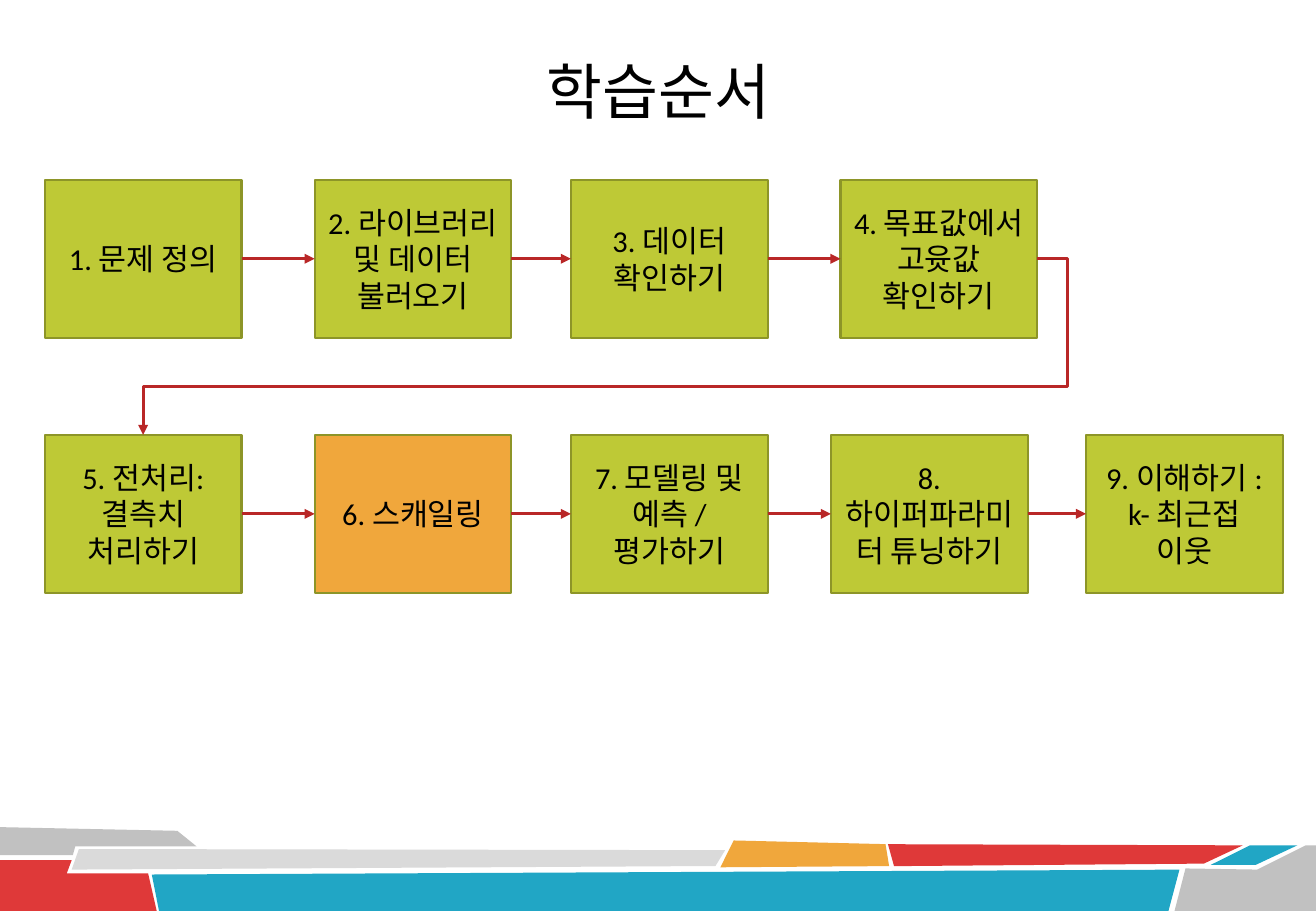
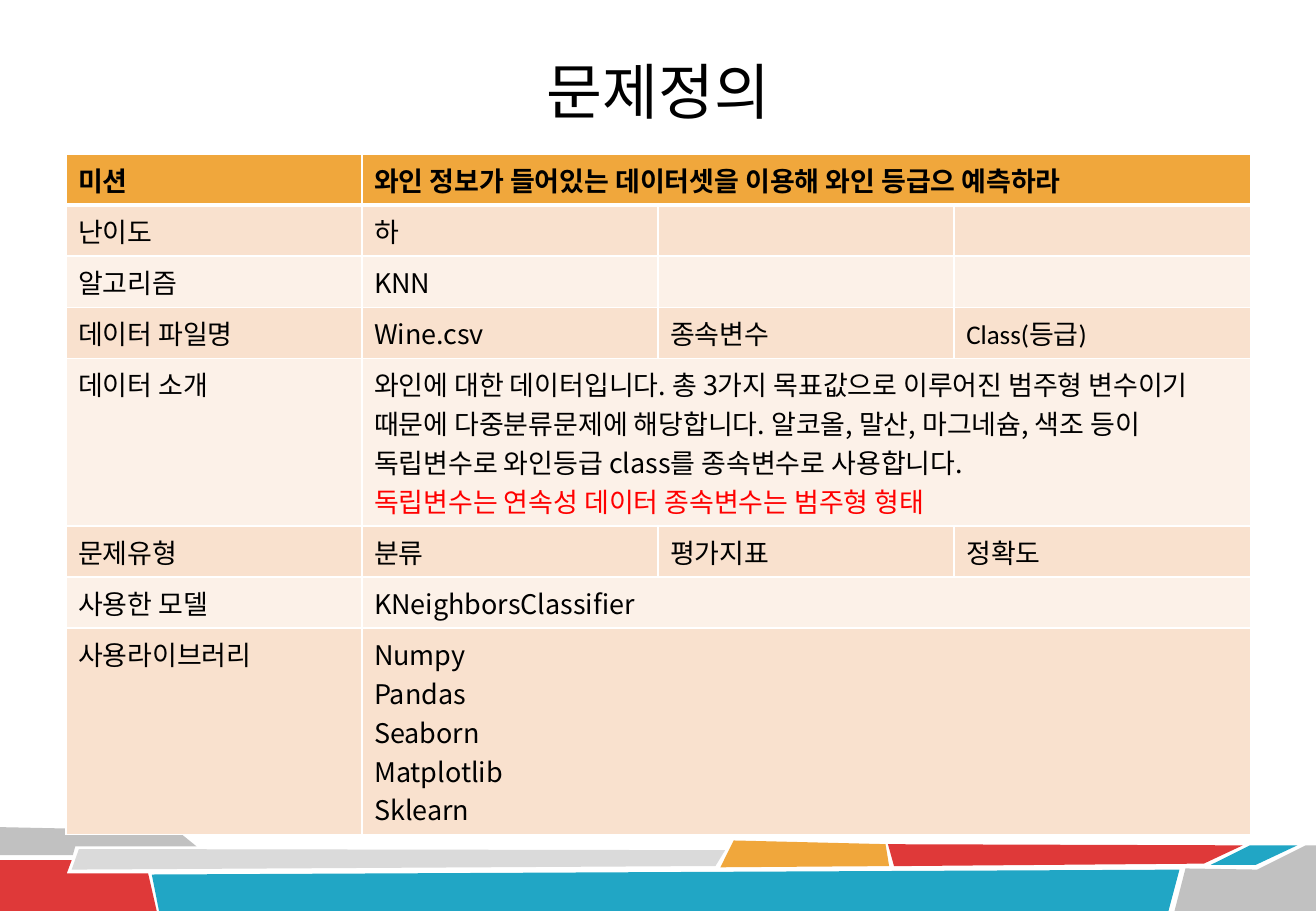
from dataclasses import dataclass

from pptx import Presentation
from pptx.dml.color import RGBColor
from pptx.enum.shapes import MSO_CONNECTOR, MSO_SHAPE
from pptx.enum.text import MSO_ANCHOR, PP_ALIGN
from pptx.oxml.ns import qn
from pptx.util import Pt
from lxml.etree import SubElement


@dataclass(frozen=True)
class Theme:
    black: str = "000000"
    white: str = "FFFFFF"
    alert: str = "FF0000"
    green: str = "BEC936"
    green_edge: str = "8D9528"
    orange: str = "F0A73C"
    red: str = "DF3939"
    arrow: str = "B92727"
    blue: str = "21A6C5"
    gray: str = "C1C1C1"
    light_gray: str = "DADADA"
    row_dark: str = "F9E1CE"
    row_light: str = "FCF1E8"
    korean: str = "Noto Sans CJK KR"
    latin: str = "Calibri"
    title_size: float = 36
    step_size: float = 18
    cell_size: float = 16


@dataclass(frozen=True)
class Box:
    left: float
    top: float
    width: float
    height: float

    def points(self):
        return Pt(self.left), Pt(self.top), Pt(self.width), Pt(self.height)


THEME = Theme()
PAGE = Box(0, 0, 780, 540)
TITLE = Box(136.8, 8.64, 506.9, 90)
BAND = Box(0, 490, 780, 50)
FLOW = Box(26.6, 106.6, 734, 245)
TABLE = Box(39.1, 91.3, 702, 236)

# Footer outlines, measured from the top left of the band
BAND_PIECES = [
    (THEME.gray, [(0, 0.3), (105.1, 2.5), (116.6, 11.8), (44.6, 11.8), (43.2, 16.9), (0, 16.9)]),
    (THEME.red, [(0, 19.8), (42.5, 19.8), (39.6, 27.7), (87.8, 27.7), (92.9, 50), (0, 50)]),
    (THEME.light_gray, [(46.8, 13.3), (429.8, 14), (424.1, 23.4), (42.5, 25.5)]),
    (THEME.blue, [(90, 28.4), (699.1, 25.5), (692.6, 50), (94.3, 50)]),
    (THEME.orange, [(434.9, 8.2), (524.9, 10.4), (527, 23.4), (427, 24.1)]),
    (THEME.red, [(526.3, 10.4), (736.6, 11.1), (713.5, 21.9), (529.9, 23.4)]),
    (THEME.blue, [(740.9, 11.1), (769, 11.1), (744.5, 22.6), (717.8, 22.6)]),
    (THEME.gray, [(702.7, 24.8), (745.2, 25.5), (774, 11.1), (780, 11.1), (780, 50), (696.2, 50)]),
]

# Steps by row: offset from the left of the flow, and wording
STEP_WIDTH, STEP_HEIGHT, STEP_PITCH = 116.6, 93.6, 151.2
STEP_ROWS = [
    [(0, "1. 문제 정의"), (159.9, "2. 라이브러리 및 데이터 불러오기"),
     (311.8, "3. 데이터 확인하기"), (471.6, "4. 목표값에서 고윳값 확인하기")],
    [(0, "5. 전처리: 결측치 처리하기"), (159.9, "6. 스캐일링"),
     (311.8, "7. 모델링 및 예측 / 평가하기"), (465.9, "8. 하이퍼파라미터 튜닝하기"),
     (617.1, "9. 이해하기 : k- 최근접 이웃")],
]
CURRENT_STEP = "6. 스캐일링"

# A row of two cells spreads its second cell over the remaining columns
KEY_NOTE = "독립변수는 연속성 데이터 종속변수는 범주형 형태"
COLUMN_COUNT = 4
TABLE_ROWS = [
    ["미션", "와인 정보가 들어있는 데이터셋을 이용해 와인 등급으 예측하라"],
    ["난이도", "하", "", ""],
    ["알고리즘", "KNN", "", ""],
    ["데이터 파일명", "Wine.csv", "종속변수", "Class(등급)"],
    ["데이터 소개",
     "와인에 대한 데이터입니다. 총 3가지 목표값으로 이루어진 범주형 변수이기 때문에 "
     "다중분류문제에 해당합니다. 알코올, 말산, 마그네슘, 색조 등이 독립변수로 "
     "와인등급 class를 종속변수로 사용합니다.\n" + KEY_NOTE],
    ["문제유형", "분류", "평가지표", "정확도"],
    ["사용한 모델", "KNeighborsClassifier"],
    ["사용라이브러리", "Numpy\nPandas\nSeaborn\nMatplotlib\nSklearn"],
]


def color(value):
    return RGBColor.from_string(value)


def paint(target, value):
    target.fill.solid()
    target.fill.fore_color.rgb = color(value)


def style_para(para, size, name, ink=THEME.black, bold=False):
    font = para.font
    font.size, font.name, font.bold = Pt(size), name, bold
    font.color.rgb = color(ink)
    east_asian = SubElement(para._p.pPr.find(qn("a:defRPr")), qn("a:ea"))
    east_asian.set("typeface", THEME.korean)


def add_band(page, box):
    for fill, outline in BAND_PIECES:
        corners = [(Pt(box.left + x), Pt(box.top + y)) for x, y in outline]
        builder = page.shapes.build_freeform(*corners[0])
        builder.add_line_segments(corners[1:], close=True)
        piece = builder.convert_to_shape()
        piece.shadow.inherit = False
        paint(piece, fill)
        piece.line.fill.background()


def add_page(deck, heading):
    page = deck.slides.add_slide(deck.slide_layouts[5])
    title = page.shapes.title
    title.left, title.top, title.width, title.height = TITLE.points()
    title.text_frame.text = heading
    title.text_frame.vertical_anchor = MSO_ANCHOR.MIDDLE
    para = title.text_frame.paragraphs[0]
    para.alignment = PP_ALIGN.CENTER
    style_para(para, THEME.title_size, THEME.korean)
    add_band(page, BAND)
    return page


def add_step(page, box, text):
    step = page.shapes.add_shape(MSO_SHAPE.RECTANGLE, *box.points())
    step.shadow.inherit = False
    paint(step, THEME.orange if text == CURRENT_STEP else THEME.green)
    step.line.color.rgb = color(THEME.green_edge)
    step.line.width = Pt(1.25)
    frame = step.text_frame
    frame.word_wrap = True
    frame.vertical_anchor = MSO_ANCHOR.MIDDLE
    frame.text = text
    para = frame.paragraphs[0]
    para.alignment = PP_ALIGN.CENTER
    style_para(para, THEME.step_size, THEME.latin)
    return step


def add_arrow(page, start, end, kind=MSO_CONNECTOR.STRAIGHT, end_site=1):
    arrow = page.shapes.add_connector(kind, 0, 0, 0, 0)
    arrow.begin_connect(start, 3)
    arrow.end_connect(end, end_site)
    arrow.line.color.rgb = color(THEME.arrow)
    arrow.line.width = Pt(1.75)
    properties = arrow._element.spPr
    SubElement(properties.find(qn("a:ln")), qn("a:tailEnd")).set("type", "triangle")
    SubElement(properties, qn("a:effectLst"))
    return arrow


def add_return_arrow(page, start, end):
    arrow = add_arrow(page, start, end, MSO_CONNECTOR.ELBOW, end_site=0)
    geometry = arrow._element.spPr.find(qn("a:prstGeom"))
    geometry.set("prst", "bentConnector4")
    guides = geometry.find(qn("a:avLst"))
    if guides is None:
        guides = SubElement(geometry, qn("a:avLst"))
    for name, value in (("adj1", -3400), ("adj2", 72500)):
        guide = SubElement(guides, qn("a:gd"))
        guide.set("name", name)
        guide.set("fmla", f"val {value}")


def add_flow(page, box):
    rows = []
    for index, row in enumerate(STEP_ROWS):
        top = box.top + index * STEP_PITCH
        rows.append([
            add_step(page, Box(box.left + offset, top, STEP_WIDTH, STEP_HEIGHT), text)
            for offset, text in row
        ])
    for steps in rows:
        for start, end in zip(steps, steps[1:]):
            add_arrow(page, start, end)
    add_return_arrow(page, rows[0][-1], rows[1][0])


def add_borders(cell, bottom_width):
    properties = cell._tc.get_or_add_tcPr()
    for side, width in (("L", 1), ("R", 1), ("T", 1), ("B", bottom_width)):
        line = SubElement(properties, qn(f"a:ln{side}"))
        line.set("w", str(Pt(width)))
        fill = SubElement(line, qn("a:solidFill"))
        SubElement(fill, qn("a:srgbClr")).set("val", THEME.white)


def add_summary(page, box):
    table = page.shapes.add_table(len(TABLE_ROWS), COLUMN_COUNT, *box.points()).table
    table.first_row = table.horz_banding = False
    for row_index, texts in enumerate(TABLE_ROWS):
        header = row_index == 0
        fill = THEME.row_dark if row_index % 2 else THEME.row_light
        if len(texts) == 2:
            table.cell(row_index, 1).merge(table.cell(row_index, COLUMN_COUNT - 1))
        for column in range(COLUMN_COUNT):
            cell = table.cell(row_index, column)
            add_borders(cell, 3 if header else 1)
            paint(cell, THEME.orange if header else fill)
            if column < len(texts):
                cell.text = texts[column]
            # The last column is set in the Latin face
            name = THEME.latin if column == COLUMN_COUNT - 1 else THEME.korean
            for para in cell.text_frame.paragraphs:
                ink = THEME.alert if para.text == KEY_NOTE else THEME.black
                style_para(para, THEME.cell_size, name, ink, header)


def main():
    deck = Presentation()
    deck.slide_width, deck.slide_height = Pt(PAGE.width), Pt(PAGE.height)
    add_flow(add_page(deck, "학습순서"), FLOW)
    add_summary(add_page(deck, "문제정의"), TABLE)
    deck.save("out.pptx")


if __name__ == "__main__":
    main()
